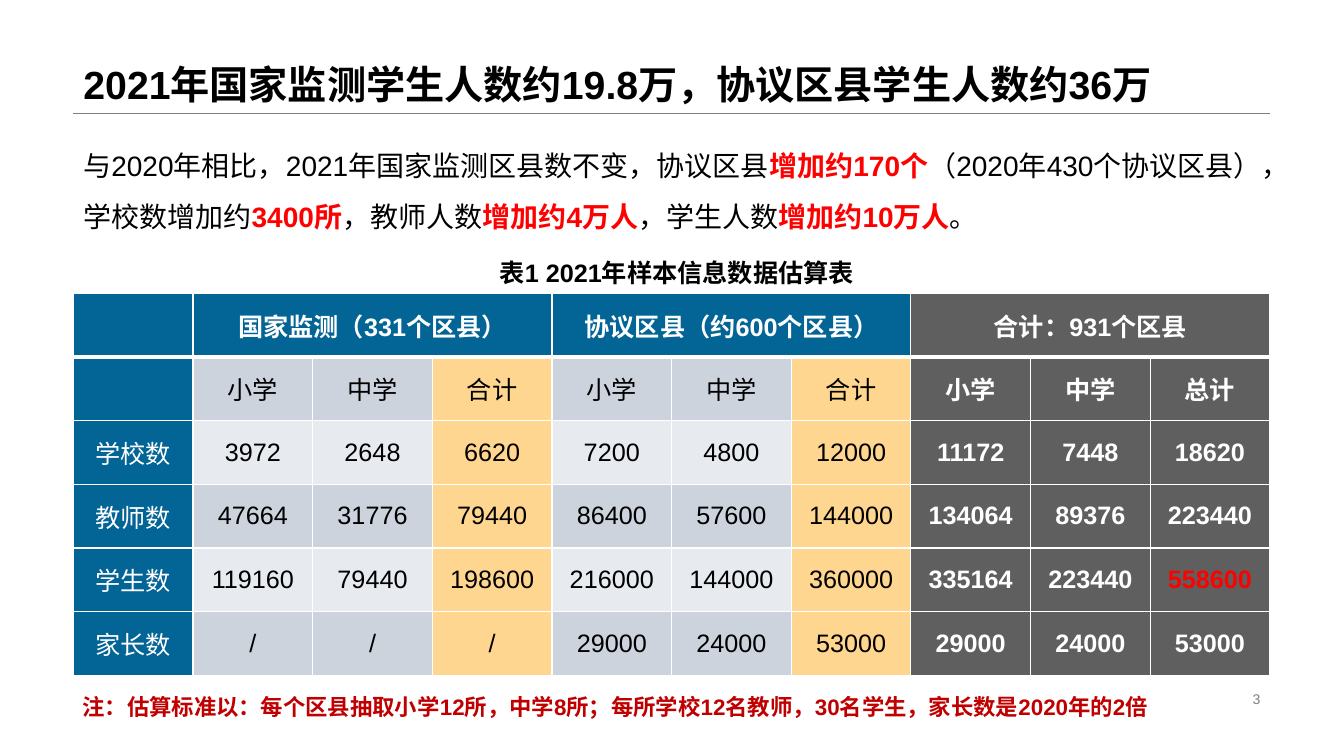
"""Build the slide on the 2021 monitoring sample sizes."""
import pptx
import pptx.dml.color
import pptx.enum.shapes
import pptx.enum.text
import pptx.oxml
import pptx.oxml.ns
import pptx.util

Cm = pptx.util.Cm
Pt = pptx.util.Pt
RGBColor = pptx.dml.color.RGBColor
Align = pptx.enum.text.PP_ALIGN
Anchor = pptx.enum.text.MSO_ANCHOR

BLACK = RGBColor(0x00, 0x00, 0x00)
WHITE = RGBColor(0xFF, 0xFF, 0xFF)
RED = RGBColor(0xFF, 0x00, 0x00)
DARK_RED = RGBColor(0xC0, 0x00, 0x00)
GRAY = RGBColor(0x80, 0x80, 0x80)
BLUE = RGBColor(0x03, 0x64, 0x96)
CHARCOAL = RGBColor(0x5F, 0x5F, 0x5F)
GOLD = RGBColor(0xFF, 0xD6, 0x8F)
BANDS = (RGBColor(0xE7, 0xEA, 0xEF), RGBColor(0xCC, 0xD3, 0xDD))

TITLE = "2021年国家监测学生人数约19.8万，协议区县学生人数约36万"
SUMMARY = [
    ("与2020年相比，2021年国家监测区县数不变，协议区县", False),
    ("增加约170个", True),
    ("（2020年430个协议区县），学校数增加约", False),
    ("3400所", True),
    ("，教师人数", False),
    ("增加约4万人", True),
    ("，学生人数", False),
    ("增加约10万人", True),
    ("。", False),
]
CAPTION = "表1 2021年样本信息数据估算表"
NOTE = ("注：估算标准以：每个区县抽取小学12所，中学8所；"
        "每所学校12名教师，30名学生，家长数是2020年的2倍")
PAGE_NUMBER = "3"
GROUPS = ["国家监测（331个区县）", "协议区县（约600个区县）", "合计：931个区县"]
ROWS = [
    ["", "小学", "中学", "合计", "小学", "中学", "合计", "小学", "中学", "总计"],
    ["学校数", "3972", "2648", "6620", "7200", "4800", "12000", "11172", "7448", "18620"],
    ["教师数", "47664", "31776", "79440", "86400", "57600", "144000", "134064", "89376", "223440"],
    ["学生数", "119160", "79440", "198600", "216000", "144000", "360000", "335164", "223440", "558600"],
    ["家长数", "/", "/", "/", "29000", "24000", "53000", "29000", "24000", "53000"],
]
KEY_TOTAL = "558600"

LEFT, WIDTH = 1.85, 30.15
RULE_TOP = 2.84
TABLE_TOP, TABLE_HEIGHT = 7.39, 9.63
GROUP_SPAN = 3


def write(frame, text, size=18, color=BLACK, bold=False, align=Align.LEFT,
          anchor=Anchor.TOP, spacing=None, wrap=True):
    """Fill a text frame with a string or a list of (text, emphasised) pieces."""
    frame.word_wrap = wrap
    frame.vertical_anchor = anchor
    para = frame.paragraphs[0]
    para.alignment = align
    if spacing:
        para.line_spacing = spacing
    pieces = [(text, False)] if isinstance(text, str) else text
    for words, emphasised in pieces:
        span = para.add_run()
        span.text = words
        span.font.name = "Arial"
        span.font.size = Pt(size)
        span.font.bold = bold or emphasised
        span.font.color.rgb = RED if emphasised else color


def add_text(page, text, left, top, width, height, **style):
    """Add a text box, measured in centimetres."""
    box = page.shapes.add_textbox(Cm(left), Cm(top), Cm(width), Cm(height))
    write(box.text_frame, text, **style)


def add_rule(page):
    """Draw the thin line under the title."""
    rule = page.shapes.add_connector(
        pptx.enum.shapes.MSO_CONNECTOR.STRAIGHT,
        Cm(LEFT), Cm(RULE_TOP), Cm(LEFT + WIDTH), Cm(RULE_TOP))
    rule.line.color.rgb = GRAY
    rule.line.width = Pt(0.25)
    properties = rule._element.spPr
    properties.append(properties.makeelement(pptx.oxml.ns.qn("a:effectLst"), {}))


def set_borders(cell, top, bottom):
    """Give a cell white borders; the widths are in points."""
    properties = cell._tc.get_or_add_tcPr()
    for side, width in (("L", 1), ("R", 1), ("T", top), ("B", bottom)):
        properties.append(pptx.oxml.parse_xml(
            f'<a:ln{side} {pptx.oxml.ns.nsdecls("a")} w="{Pt(width)}">'
            f'<a:solidFill><a:srgbClr val="{WHITE}"/></a:solidFill></a:ln{side}>'))


def cell_colors(row, column):
    """Return the fill and text colours for a table position."""
    if column > 2 * GROUP_SPAN:
        return CHARCOAL, WHITE
    if row == 0 or column == 0:
        return BLUE, WHITE
    if column % GROUP_SPAN == 0:
        return GOLD, BLACK
    return BANDS[row % 2], BLACK


def add_sample_table(page):
    """Add the table of sample sizes."""
    header = [""]
    for group in GROUPS:
        header += [group] + [""] * (GROUP_SPAN - 1)
    rows = [header] + ROWS
    table = page.shapes.add_table(
        len(rows), len(header), Cm(LEFT), Cm(TABLE_TOP), Cm(WIDTH), Cm(TABLE_HEIGHT)).table
    for row, texts in enumerate(rows):
        for column, text in enumerate(texts):
            cell = table.cell(row, column)
            fill, color = cell_colors(row, column)
            set_borders(cell, 3 if row == 1 else 1, 3 if row == 0 else 1)
            cell.fill.solid()
            cell.fill.fore_color.rgb = fill
            cell.vertical_anchor = Anchor.MIDDLE
            if text:
                write(cell.text_frame, text, align=Align.CENTER, anchor=Anchor.MIDDLE,
                      color=RED if text == KEY_TOTAL else color,
                      bold=row == 0 or fill == CHARCOAL)
    for column in range(1, len(header), GROUP_SPAN):
        table.cell(0, column).merge(table.cell(0, column + GROUP_SPAN - 1))


def main():
    """Assemble and save the deck."""
    deck = pptx.Presentation()
    deck.slide_width, deck.slide_height = Cm(33.87), Cm(19.05)
    page = deck.slides.add_slide(deck.slide_layouts[5])
    title = page.shapes.title
    title.left, title.top = Cm(LEFT), Cm(0)
    title.width, title.height = Cm(WIDTH), Cm(RULE_TOP)
    title.text_frame.auto_size = pptx.enum.text.MSO_AUTO_SIZE.NONE
    write(title.text_frame, TITLE, size=28, bold=True, anchor=Anchor.BOTTOM, spacing=0.9)
    add_rule(page)
    add_text(page, PAGE_NUMBER, 23.93, 17.32, 8.08, 0.58, size=10, color=GRAY,
             align=Align.RIGHT, anchor=Anchor.MIDDLE)
    add_sample_table(page)
    add_text(page, NOTE, 0.5, 17.32, 30, 0.94, size=16, color=DARK_RED, bold=True,
             align=Align.CENTER, anchor=Anchor.BOTTOM)
    add_text(page, SUMMARY, LEFT, 3.2, 30.4, 2.67, size=20, spacing=1.5)
    add_text(page, CAPTION, 3.91, 6.43, 26.29, 0.94, bold=True,
             align=Align.CENTER, anchor=Anchor.BOTTOM)
    deck.save("out.pptx")


if __name__ == "__main__":
    main()
